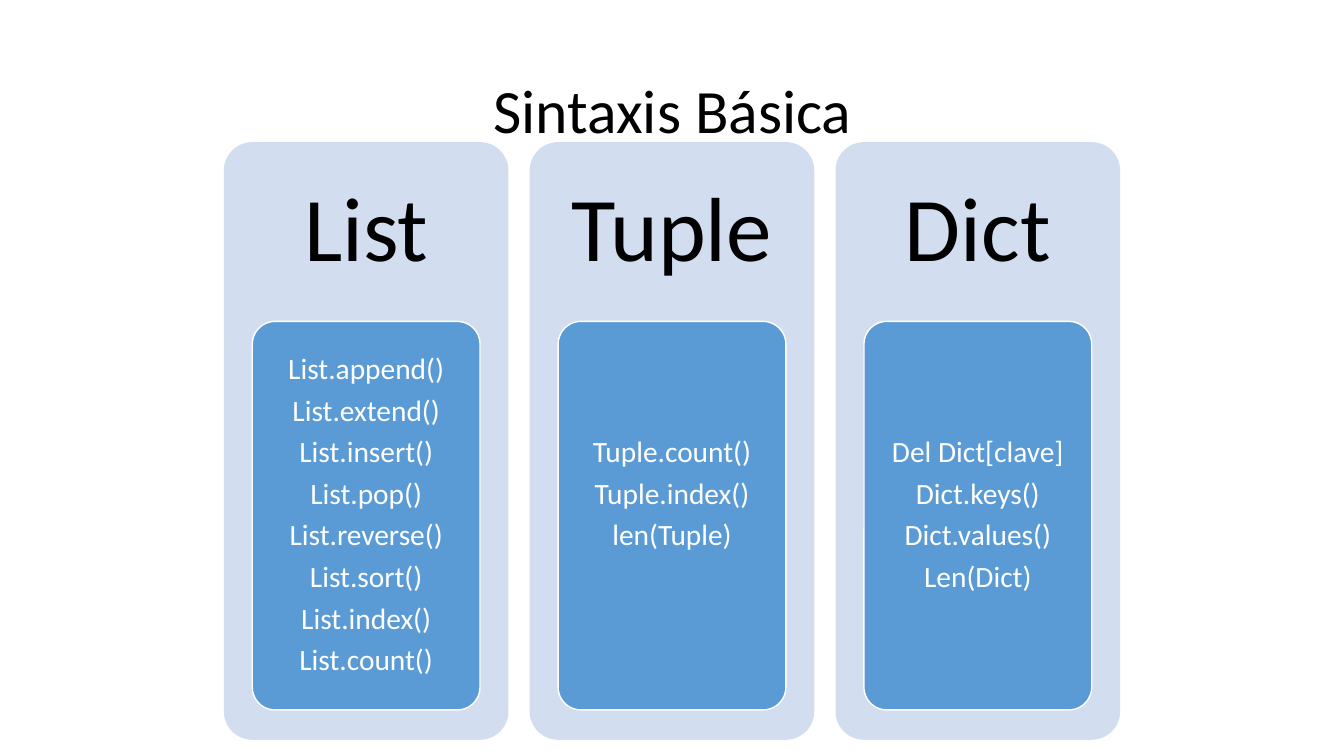
from pptx import Presentation
from pptx.dml.color import RGBColor
from pptx.enum.shapes import MSO_SHAPE as Shape
from pptx.enum.text import MSO_ANCHOR as Anchor, PP_ALIGN as Align
from pptx.util import Inches, Pt

FONT = "Calibri"
BLACK, WHITE, PALE, BLUE = "000000", "FFFFFF", "D2DEEF", "5B9BD5"
LINE_PITCH = 0.42

COLUMNS = [
    ("List", ["List.append()", "List.extend()", "List.insert()", "List.pop()",
              "List.reverse()", "List.sort()", "List.index()", "List.count()"], 0),
    ("Tuple", ["Tuple.count()", "Tuple.index()", "len(Tuple)"], 1),
    ("Dict", ["Del Dict[clave]", "Dict.keys()", "Dict.values()", "Len(Dict)"], 0),
]


def color(value):
    return RGBColor.from_string(value)


def add_text(page, box, lines, size, ink=BLACK, insets=(0.1, 0.05, 0.1, 0.05), after=0):
    """Write centred lines in a box; insets run left, top, right, bottom."""
    frame = page.shapes.add_textbox(*map(Inches, box)).text_frame
    frame.word_wrap = True
    frame.vertical_anchor = Anchor.MIDDLE
    (frame.margin_left, frame.margin_top,
     frame.margin_right, frame.margin_bottom) = map(Inches, insets)
    for index, line in enumerate(lines):
        para = frame.add_paragraph() if index else frame.paragraphs[0]
        para.alignment = Align.CENTER
        para.line_spacing = 0.9
        para.space_after = Pt(after)
        span = para.add_run()
        span.text = line
        span.font.name = FONT
        span.font.size = Pt(size)
        span.font.color.rgb = color(ink)


def add_panel(page, box, fill, outline=None):
    panel = page.shapes.add_shape(Shape.ROUNDED_RECTANGLE, *map(Inches, box))
    panel.adjustments[0] = 0.1
    panel.shadow.inherit = False
    panel.fill.solid()
    panel.fill.fore_color.rgb = color(fill)
    if outline:
        panel.line.color.rgb = color(outline)
        panel.line.width = Pt(1)
    else:
        panel.line.fill.background()


def add_column(page, box, heading, methods, spare_lines):
    """Draw a panel with a heading and a card of methods, raised by spare lines."""
    left, top, width, height = box
    head_height = 0.3 * height
    card = (left + 0.1 * width, top + head_height, 0.8 * width, 0.65 * height)
    pad = 0.065
    inner = (card[0] + pad, card[1] + pad, card[2] - 2 * pad, card[3] - 2 * pad)
    bottom = 0.04 + spare_lines * LINE_PITCH

    add_panel(page, box, PALE)
    add_text(page, (left, top, width, head_height), [heading], 65, insets=(0.27,) * 4)
    add_panel(page, card, BLUE, outline=WHITE)
    add_text(page, inner, methods, 21, ink=WHITE,
             insets=(0.06, 0.04, 0.06, bottom), after=7)


def add_columns(page, box):
    left, top, width, height = box
    gap = 0.21
    column_width = (width - gap * (len(COLUMNS) - 1)) / len(COLUMNS)
    for index, column in enumerate(COLUMNS):
        x = left + index * (column_width + gap)
        add_column(page, (x, top, column_width, height), *column)


def main():
    deck = Presentation()
    deck.slide_width, deck.slide_height = Inches(13.33), Inches(7.5)
    page = deck.slides.add_slide(deck.slide_layouts[6])
    add_text(page, (0.92, 0.4, 11.5, 1.45), ["Sintaxis Básica"], 44)
    add_columns(page, (2.22, 1.41, 8.89, 5.93))
    deck.save("out.pptx")


if __name__ == "__main__":
    main()
